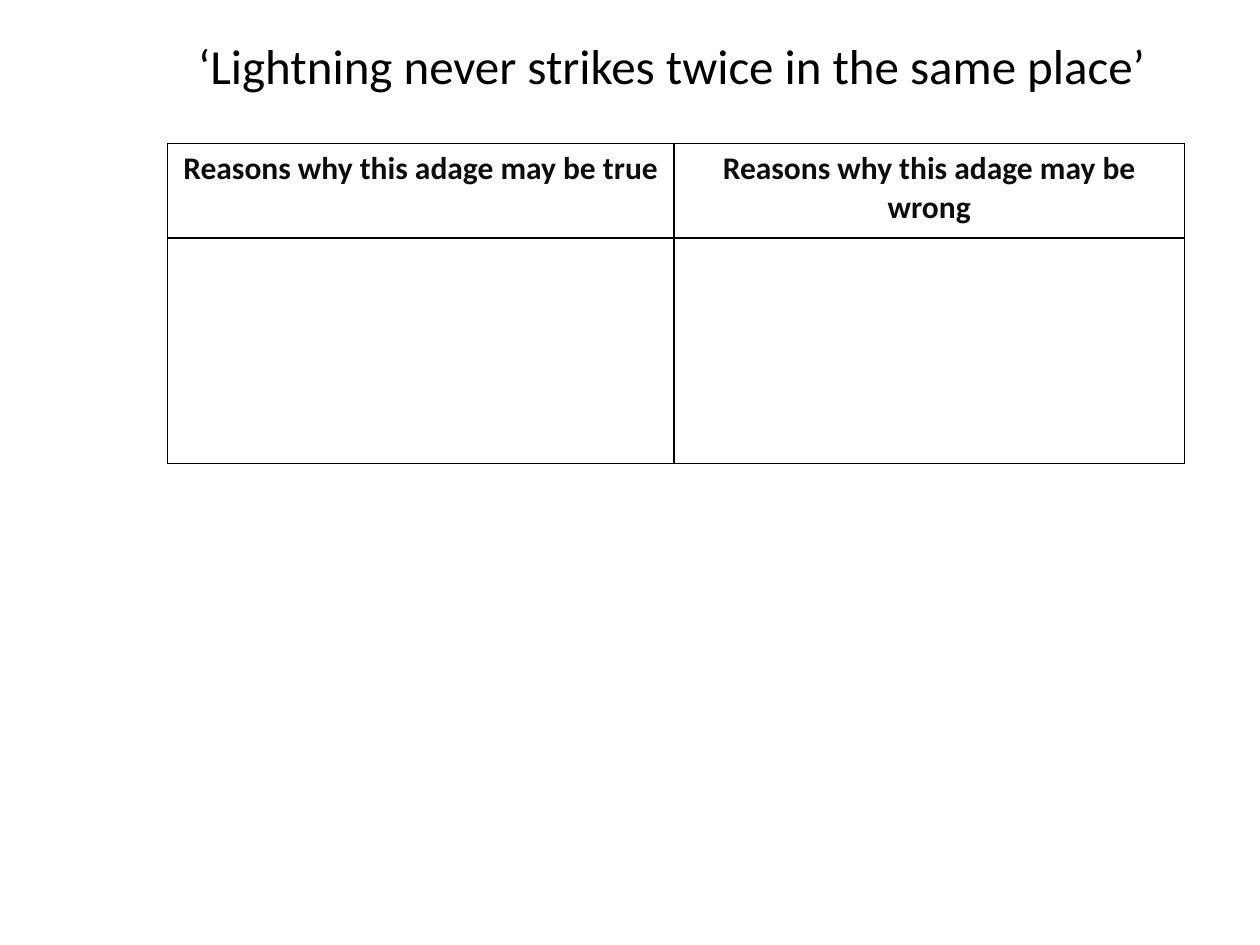
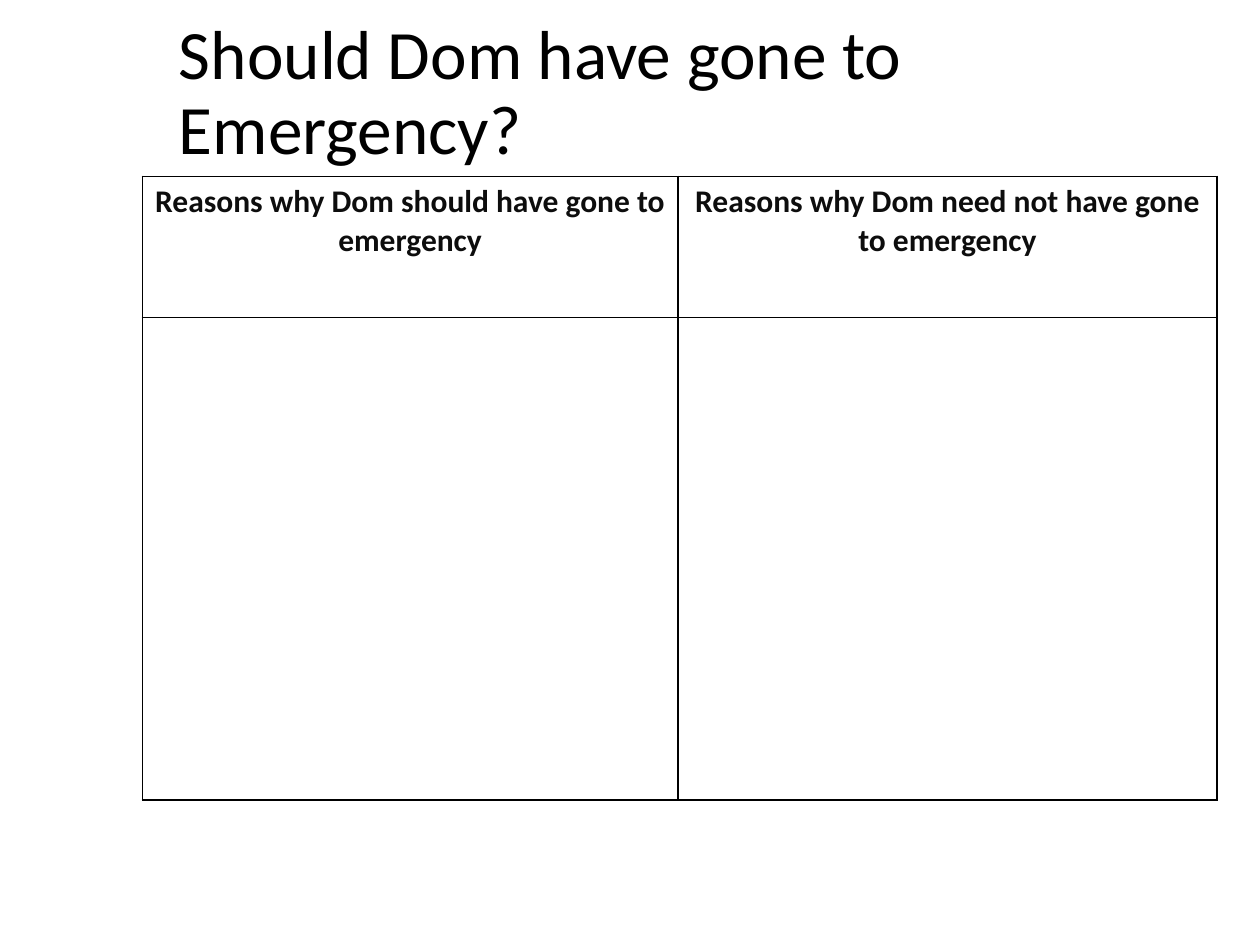
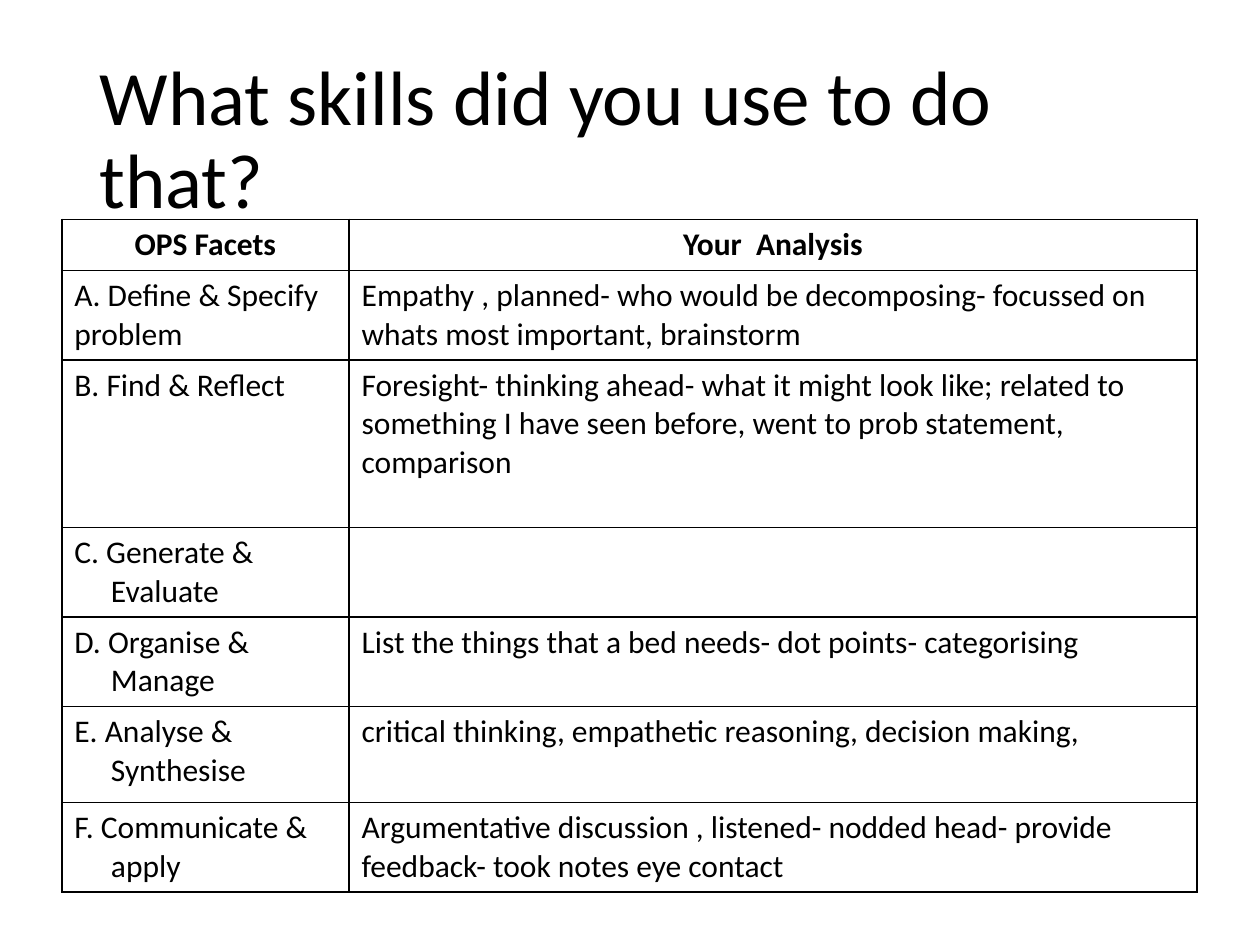
from dataclasses import dataclass

from lxml import etree
from pptx import Presentation
from pptx.dml.color import RGBColor
from pptx.enum import text as t
from pptx.oxml.ns import qn
from pptx.util import Emu, Inches, Pt


@dataclass(frozen=True)
class Theme:
    """Hold the shared colours, font and type sizes."""
    font: str = "Calibri"
    ink: str = "000000"
    soft: str = "0D0D0D"
    paper: str = "FFFFFF"
    body: float = 18
    rule: float = 1
    hang: float = 0.29


LOOK = Theme()
LEFT, MID = t.PP_ALIGN.LEFT, t.PP_ALIGN.CENTER


def put_text(para, words, size, color, bold=False, align=LEFT):
    """Add one styled run to a paragraph."""
    para.alignment = align
    run = para.add_run()
    run.text = words
    font = run.font
    font.name, font.size, font.bold = LOOK.font, Pt(size), bold
    font.color.rgb = RGBColor.from_string(color)


def add_title(slide, box, words, size, align=LEFT, anchor=t.MSO_ANCHOR.MIDDLE, space=0.9):
    """Place the slide title in its box."""
    title = slide.shapes.title
    title.left, title.top, title.width, title.height = map(Inches, box)
    frame = title.text_frame
    frame.word_wrap = True
    frame.auto_size = t.MSO_AUTO_SIZE.NONE
    frame.vertical_anchor = anchor
    para = frame.paragraphs[0]
    para.line_spacing = space
    put_text(para, words, size, LOOK.ink, align=align)


def style_cell(cell):
    """Give a cell a plain fill and a thin line on each side."""
    cell.fill.solid()
    cell.fill.fore_color.rgb = RGBColor.from_string(LOOK.paper)
    props = cell._tc.get_or_add_tcPr()
    for spot, side in enumerate("LRTB"):
        line = etree.Element(qn(f"a:ln{side}"), w=str(Pt(LOOK.rule)))
        fill = etree.SubElement(line, qn("a:solidFill"))
        etree.SubElement(fill, qn("a:srgbClr"), val=LOOK.ink)
        props.insert(spot, line)


def add_grid(slide, spot, cols, rows, cells, color, hung=()):
    """Draw a ruled table with a bold head row and hung first-column rows."""
    left, top = map(Inches, spot)
    grid = slide.shapes.add_table(
        len(rows), len(cols), left, top, Inches(sum(cols)), Inches(sum(rows))).table
    grid.horz_banding = False
    for col, width in zip(grid.columns, cols):
        col.width = Inches(width)
    for row, height in zip(grid.rows, rows):
        row.height = Inches(height)
    for r, line in enumerate(cells):
        for c, words in enumerate(line):
            cell = grid.cell(r, c)
            style_cell(cell)
            para = cell.text_frame.paragraphs[0]
            if c == 0 and r in hung:
                props = para._p.get_or_add_pPr()
                props.set("marL", str(Inches(LOOK.hang)))
                props.set("indent", str(Emu(-Inches(LOOK.hang))))
            if words:
                head = r == 0
                put_text(para, words, LOOK.body, color, head, MID if head else LEFT)
            else:
                para.font.size = Pt(LOOK.body)


def adage_slide(slide):
    """Build the table for and against the adage."""
    add_title(slide, (0.71, 0.23, 9.24, 0.57),
              "‘Lightning never strikes twice in the same place’", 28,
              MID, t.MSO_ANCHOR.TOP, 1)
    heads = [f"Reasons why this adage may be {end}" for end in ("true", "wrong")]
    add_grid(slide, (1.33, 1.14), (4.02, 4.05), (0.75, 1.79),
             [heads, ("", "")], LOOK.soft)


def choice_slide(slide):
    """Build the table for and against going to emergency."""
    add_title(slide, (1.32, 0.21, 8.5, 1.08), "Should Dom have gone to Emergency?", 39.6)
    heads = [f"Reasons why Dom {verb} have gone to emergency"
             for verb in ("should", "need not")]
    add_grid(slide, (1.13, 1.4), (4.25, 4.28), (1.12, 3.83),
             [heads, ("", "")], LOOK.soft)


def skills_slide(slide):
    """Build the table of facets and analysis."""
    add_title(slide, (0.69, 0.4, 8.62, 1.45), "What skills did you use to do that?", 44)
    cells = [
        ("OPS Facets", "Your  Analysis"),
        ("A. Define & Specify problem",
         "Empathy , planned- who would be decomposing- focussed on "
         "whats most important, brainstorm"),
        ("B. Find & Reflect",
         "Foresight- thinking ahead- what it might look like; related to "
         "something I have seen before, went to prob statement, comparison"),
        ("C. Generate & Evaluate", ""),
        ("D. Organise & Manage",
         "List the things that a bed needs- dot points- categorising"),
        ("E. Analyse & Synthesise",
         "critical thinking, empathetic reasoning, decision making,"),
        ("F. Communicate & apply",
         "Argumentative discussion , listened- nodded head- provide "
         "feedback- took notes eye contact"),
    ]
    add_grid(slide, (0.49, 1.74), (2.28, 6.73), (0.4, 0.7, 1.33, 0.7, 0.7, 0.76, 0.7),
             cells, LOOK.ink, range(2, len(cells)))


def main():
    """Build and save the deck."""
    deck = Presentation()
    deck.slide_width, deck.slide_height = Inches(10), Inches(7.5)
    back = deck.slide_master.background.fill
    back.solid()
    back.fore_color.rgb = RGBColor.from_string(LOOK.paper)
    for build in (adage_slide, choice_slide, skills_slide):
        build(deck.slides.add_slide(deck.slide_layouts[5]))
    deck.save("out.pptx")


if __name__ == "__main__":
    main()
